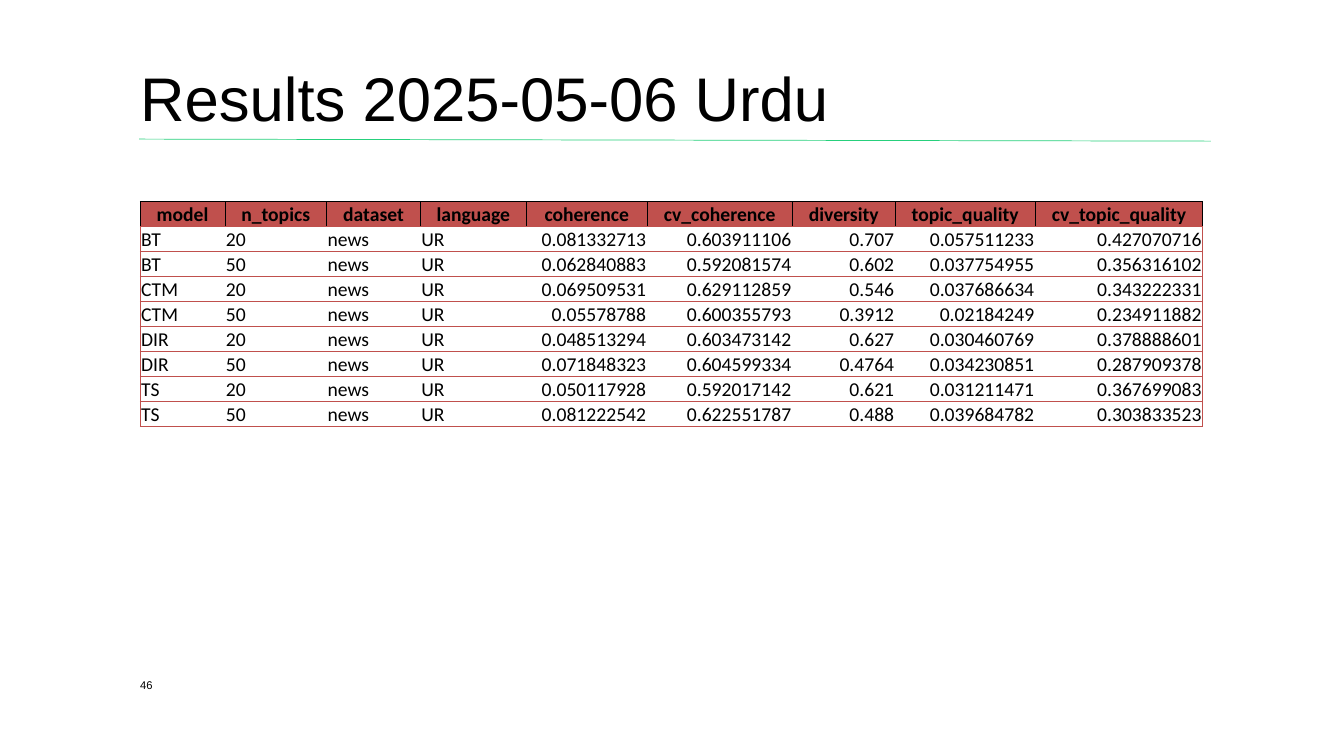
from pptx import Presentation
from pptx.dml.color import RGBColor
from pptx.enum.shapes import MSO_CONNECTOR as Connector
from pptx.enum.text import MSO_ANCHOR as Anchor, PP_ALIGN as Align
from pptx.oxml.ns import qn
from pptx.util import Inches, Pt
from lxml.etree import SubElement

BLACK, RED, GREEN = "000000", "C0504D", "26D07C"
LEFT = 1.39
TABLE_TOP, ROW_HEIGHT = 2, 2.23 / 9
COLUMN_WIDTHS = [0.84, 1.01, 0.93, 1.05, 1.2, 1.44, 1.02, 1.39, 1.66]
TEXT_COLUMNS = 4
NO_STYLE = "{2D5ABB26-0587-4C30-8999-92F81FD0307C}"

HEADERS = ["model", "n_topics", "dataset", "language", "coherence",
           "cv_coherence", "diversity", "topic_quality", "cv_topic_quality"]
RESULTS = [
    ["BT", "20", "0.081332713", "0.603911106", "0.707", "0.057511233", "0.427070716"],
    ["BT", "50", "0.062840883", "0.592081574", "0.602", "0.037754955", "0.356316102"],
    ["CTM", "20", "0.069509531", "0.629112859", "0.546", "0.037686634", "0.343222331"],
    ["CTM", "50", "0.05578788", "0.600355793", "0.3912", "0.02184249", "0.234911882"],
    ["DIR", "20", "0.048513294", "0.603473142", "0.627", "0.030460769", "0.378888601"],
    ["DIR", "50", "0.071848323", "0.604599334", "0.4764", "0.034230851", "0.287909378"],
    ["TS", "20", "0.050117928", "0.592017142", "0.621", "0.031211471", "0.367699083"],
    ["TS", "50", "0.081222542", "0.622551787", "0.488", "0.039684782", "0.303833523"],
]


def color(value):
    return RGBColor.from_string(value)


def set_font(para, name, size, bold=False):
    para.font.name, para.font.size, para.font.bold = name, Pt(size), bold
    para.font.color.rgb = color(BLACK)


def add_text(page, text, top, width, height, size, spacing=1.0):
    box = page.shapes.add_textbox(Inches(LEFT), Inches(top), Inches(width), Inches(height))
    frame = box.text_frame
    frame.word_wrap = True
    frame.vertical_anchor = Anchor.BOTTOM
    frame.margin_left = frame.margin_top = frame.margin_right = frame.margin_bottom = 0
    para = frame.paragraphs[0]
    para.text = text
    para.line_spacing = spacing
    set_font(para, "Arial", size)


def add_rule(page, start, end):
    points = [Inches(value) for value in (*start, *end)]
    rule = page.shapes.add_connector(Connector.STRAIGHT, *points)
    rule.line.color.rgb = color(GREEN)
    rule.line.width = Pt(0.5)
    SubElement(rule.element.spPr, qn("a:effectLst"))


def set_borders(cell, **sides):
    """Draw the given sides (L, R, T, B) in their colours, in schema order."""
    properties = cell._tc.get_or_add_tcPr()
    for side in "LRTB":
        if side in sides:
            line = SubElement(properties, qn(f"a:ln{side}"), w=str(Pt(0.5)))
            fill = SubElement(line, qn("a:solidFill"))
            SubElement(fill, qn("a:srgbClr"), val=sides[side])


def fill_cell(cell, text, align, bold=False):
    cell.margin_left = cell.margin_top = cell.margin_right = Inches(0.01)
    cell.margin_bottom = 0
    para = cell.text_frame.paragraphs[0]
    para.text = text
    para.alignment = align
    set_font(para, "Calibri", 14, bold)


def add_header_cell(cell, text):
    fill_cell(cell, text, Align.CENTER, bold=True)
    cell.vertical_anchor = Anchor.TOP
    set_borders(cell, L=BLACK, R=BLACK, T=BLACK, B=RED)
    cell.fill.solid()
    cell.fill.fore_color.rgb = color(RED)


def add_body_cell(cell, text, column):
    fill_cell(cell, text, Align.LEFT if column < TEXT_COLUMNS else Align.RIGHT)
    cell.vertical_anchor = Anchor.BOTTOM
    sides = {"T": RED, "B": RED}
    if column == 0:
        sides["L"] = RED
    if column == len(HEADERS) - 1:
        sides["R"] = RED
    set_borders(cell, **sides)
    cell.fill.background()


def add_results(page):
    count = len(RESULTS) + 1
    frame = page.shapes.add_table(
        count, len(HEADERS), Inches(LEFT), Inches(TABLE_TOP),
        Inches(sum(COLUMN_WIDTHS)), Inches(ROW_HEIGHT * count))
    table = frame.table
    table.horz_banding = False
    table._tbl.tblPr.find(qn("a:tableStyleId")).text = NO_STYLE
    for column, width in zip(table.columns, COLUMN_WIDTHS):
        column.width = Inches(width)
    for row in table.rows:
        row.height = Inches(ROW_HEIGHT)

    for column, text in enumerate(HEADERS):
        add_header_cell(table.cell(0, column), text)
    for row, (model, topics, *scores) in enumerate(RESULTS, start=1):
        # Every run uses the Urdu news data
        for column, text in enumerate([model, topics, "news", "UR", *scores]):
            add_body_cell(table.cell(row, column), text, column)


def main():
    deck = Presentation()
    deck.slide_width, deck.slide_height = Inches(13.33), Inches(7.5)
    page = deck.slides.add_slide(deck.slide_layouts[6])

    # Heading with its rule
    add_rule(page, (1.38, 1.38), (12.01, 1.4))
    add_text(page, "Results 2025-05-06 Urdu", 0.4, 10.62, 0.94, 44, spacing=0.9)
    # Page number
    add_text(page, "46", 6.6, 0.5, 0.26, 8)
    # Scores per model
    add_results(page)

    deck.save("out.pptx")


if __name__ == "__main__":
    main()
